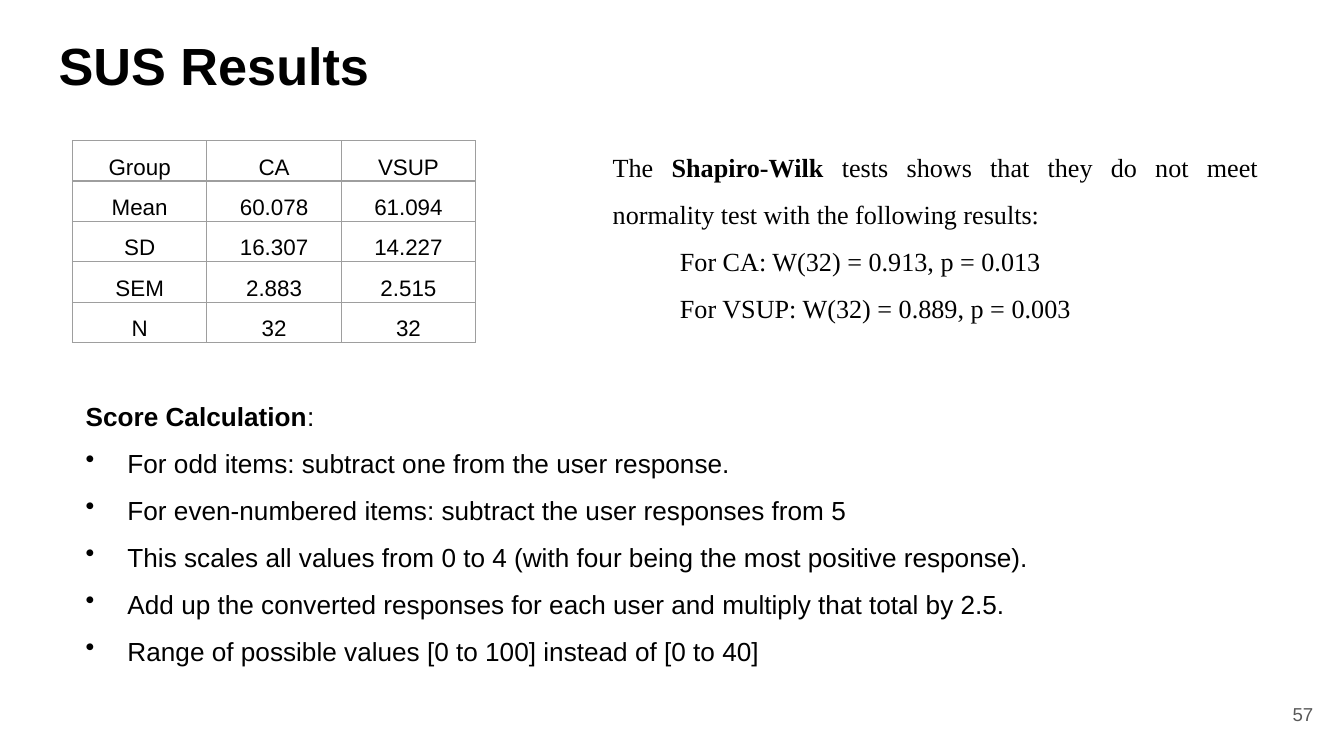
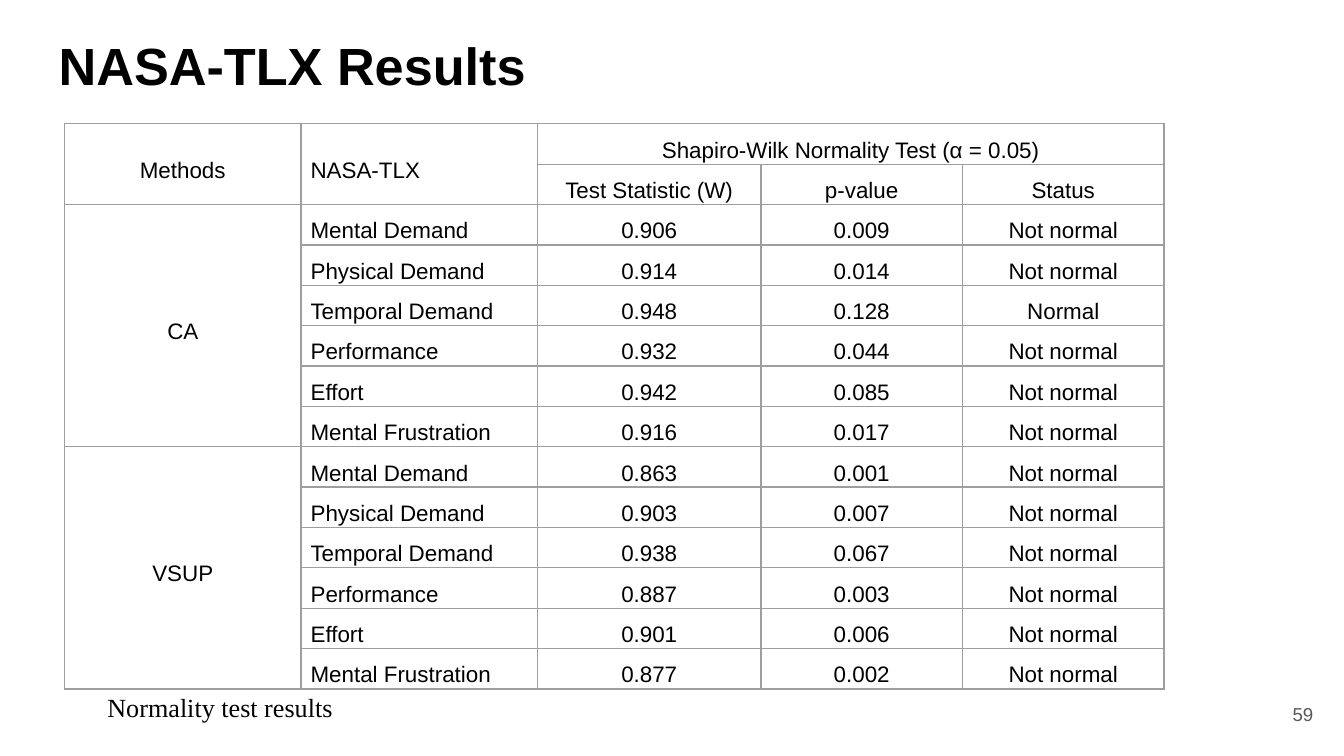
from dataclasses import dataclass
from typing import Optional

from lxml import etree
from pptx import Presentation
from pptx import util as u
from pptx.dml.color import RGBColor
from pptx.enum import text
from pptx.oxml.ns import qn

# Shared look
SANS, SERIF = "Arial", "Times New Roman"
BLACK, GREY, RULE, WHITE = "000000", "595959", "9E9E9E", "FFFFFF"
LEFT, MID, RIGHT, FULL = (text.PP_ALIGN.LEFT, text.PP_ALIGN.CENTER,
                          text.PP_ALIGN.RIGHT, text.PP_ALIGN.JUSTIFY)


@dataclass(frozen=True)
class Run:
    words: str
    bold: bool = False


@dataclass(frozen=True)
class Para:
    runs: tuple[Run, ...]
    align: int = LEFT
    space: Optional[float] = None
    indent: float = 0
    bullet: bool = False


@dataclass(frozen=True)
class Style:
    size: float
    face: str = SANS
    color: str = BLACK


@dataclass(frozen=True)
class Box:
    left: float
    top: float
    width: float
    height: float

    def place(self) -> tuple:
        return tuple(u.Cm(n) for n in (self.left, self.top,
                                       self.width, self.height))


@dataclass(frozen=True)
class Span:
    row: int
    col: int
    rows: int
    cols: int


TITLE, PAGE, BODY = Style(28), Style(10, color=GREY), Style(14)
SERIFED, CELL = Style(14, SERIF), Style(12)


def tint(code: str) -> RGBColor:
    return RGBColor.from_string(code)


def line(words: str, bold: bool = False, **kind) -> Para:
    return Para((Run(words, bold),), **kind)


# Text
def add_bullet(par) -> None:
    props = par._p.get_or_add_pPr()
    color = etree.SubElement(props, qn("a:buClr"))
    etree.SubElement(color, qn("a:srgbClr"), val=BLACK)
    etree.SubElement(props, qn("a:buChar"), char="•")


def write(frame, paras: list[Para], style: Style) -> None:
    for i, item in enumerate(paras):
        par = frame.paragraphs[0] if i == 0 else frame.add_paragraph()
        par.alignment = item.align
        if item.space:
            par.line_spacing = item.space
        if item.indent:
            props = par._p.get_or_add_pPr()
            props.set("marL", str(u.Cm(item.indent)))
            props.set("indent", str(-u.Cm(item.indent) if item.bullet else 0))
        if item.bullet:
            add_bullet(par)
        for part in item.runs:
            run = par.add_run()
            run.text = part.words
            font = run.font
            font.name, font.size = style.face, u.Pt(style.size)
            font.bold = part.bold
            font.color.rgb = tint(style.color)


def add_text(slide, box: Box, paras: list[Para], style: Style,
             grow: bool = True, middle: bool = False) -> None:
    frame = slide.shapes.add_textbox(*box.place()).text_frame
    frame.word_wrap = True
    if grow:
        frame.auto_size = text.MSO_AUTO_SIZE.SHAPE_TO_FIT_TEXT
    else:
        frame.margin_top = frame.margin_bottom = u.Cm(0.25)
    if middle:
        frame.vertical_anchor = text.MSO_ANCHOR.MIDDLE
    write(frame, paras, style)


# Tables
def add_rules(cell) -> None:
    props = cell._tc.get_or_add_tcPr()
    for side in ("lnL", "lnR", "lnT", "lnB"):
        rule = etree.SubElement(props, qn(f"a:{side}"), w=str(u.Pt(0.75)))
        fill = etree.SubElement(rule, qn("a:solidFill"))
        etree.SubElement(fill, qn("a:srgbClr"), val=RULE)


def add_grid(slide, box: Box, widths: list[float], rows: list[tuple],
             spans: tuple[Span, ...] = (), left_col: int = -1) -> None:
    grid = slide.shapes.add_table(len(rows), len(widths), *box.place()).table
    grid.first_row = grid.horz_banding = False
    for col, width in zip(grid.columns, widths):
        col.width = u.Cm(width)
    for r, row in enumerate(rows):
        grid.rows[r].height = u.Cm(box.height / len(rows))
        for c, words in enumerate(row):
            cell = grid.cell(r, c)
            add_rules(cell)
            cell.fill.background()
            cell.margin_left = cell.margin_right = u.Cm(0.18)
            cell.margin_top = cell.margin_bottom = 0
            cell.vertical_anchor = text.MSO_ANCHOR.MIDDLE
            if words:
                align = LEFT if c == left_col else MID
                write(cell.text_frame, [line(words, align=align, space=1.5)],
                      CELL)
    for s in spans:
        grid.cell(s.row, s.col).merge(
            grid.cell(s.row + s.rows - 1, s.col + s.cols - 1))


# Title and page number on every slide
def add_slide(deck, title: str, page: int):
    slide = deck.slides.add_slide(deck.slide_layouts[6])
    slide.background.fill.solid()
    slide.background.fill.fore_color.rgb = tint(WHITE)
    add_text(slide, Box(0.86, 0.38, 23.67, 1.6), [line(title, True)],
             TITLE, grow=False)
    add_text(slide, Box(23.55, 12.95, 1.52, 1.09),
             [line(str(page), align=RIGHT)], PAGE, grow=False, middle=True)
    return slide


SCORES = [
    ("Group", "CA", "VSUP"),
    ("Mean", "60.078", "61.094"),
    ("SD", "16.307", "14.227"),
    ("SEM", "2.883", "2.515"),
    ("N", "32", "32"),
]
STEPS = [
    "For odd items: subtract one from the user response.",
    "For even-numbered items: subtract the user responses from 5",
    "This scales all values from 0 to 4 "
    "(with four being the most positive response).",
    "Add up the converted responses for each user "
    "and multiply that total by 2.5.",
    "Range of possible values [0 to 100] instead of [0 to 40]",
]
SCALES = ("Mental Demand", "Physical Demand", "Temporal Demand",
          "Performance", "Effort", "Mental Frustration")
NOT = "Not normal"
TESTS = {
    "CA": [("0.906", "0.009", NOT), ("0.914", "0.014", NOT),
           ("0.948", "0.128", "Normal"), ("0.932", "0.044", NOT),
           ("0.942", "0.085", NOT), ("0.916", "0.017", NOT)],
    "VSUP": [("0.863", "0.001", NOT), ("0.903", "0.007", NOT),
             ("0.938", "0.067", NOT), ("0.887", "0.003", NOT),
             ("0.901", "0.006", NOT), ("0.877", "0.002", NOT)],
}


def add_sus(deck) -> None:
    slide = add_slide(deck, "SUS Results", 57)
    add_grid(slide, Box(1.37, 2.66, 7.62, 3.35), [2.54] * 3, SCORES)
    # Score rules
    head = Para((Run("Score Calculation", True), Run(":")), space=1.5)
    steps = [line(s, space=1.5, indent=0.79, bullet=True) for s in STEPS]
    add_text(slide, Box(1.37, 7.14, 19.13, 5.54), [head, *steps], BODY)
    # Normality note
    intro = Para((Run("The "), Run("Shapiro-Wilk", True),
                  Run(" tests shows that they do not meet normality test "
                      "with the following results:")), FULL, 1.5)
    found = [line(s, space=1.5, indent=1.27) for s in (
        "For CA: W(32) = 0.913, p = 0.013",
        "For VSUP: W(32) = 0.889, p = 0.003")]
    add_text(slide, Box(11.33, 2.44, 12.7, 3.73), [intro, *found], SERIFED)


def add_tlx(deck) -> None:
    slide = add_slide(deck, "NASA-TLX Results", 59)
    rows = [("Methods", "NASA-TLX",
             "Shapiro-Wilk Normality Test (α = 0.05)", "", ""),
            ("", "", "Test Statistic (W)", "p-value", "Status")]
    spans = [Span(0, 0, 2, 1), Span(0, 1, 2, 1), Span(0, 2, 1, 3)]
    for group, tests in TESTS.items():
        spans.append(Span(len(rows), 0, len(SCALES), 1))
        for i, (scale, test) in enumerate(zip(SCALES, tests)):
            rows.append((group if i == 0 else "", scale, *test))
    add_grid(slide, Box(1.22, 2.34, 20.78, 10.29),
             [4.47, 4.47, 4.22, 3.81, 3.81], rows, tuple(spans), left_col=1)
    # Caption
    add_text(slide, Box(1.78, 12.95, 6.88, 0.86),
             [line("Normality test results")], SERIFED)


def main() -> None:
    deck = Presentation()
    deck.slide_width, deck.slide_height = u.Cm(25.4), u.Cm(14.29)
    add_sus(deck)
    add_tlx(deck)
    deck.save("out.pptx")


if __name__ == "__main__":
    main()
